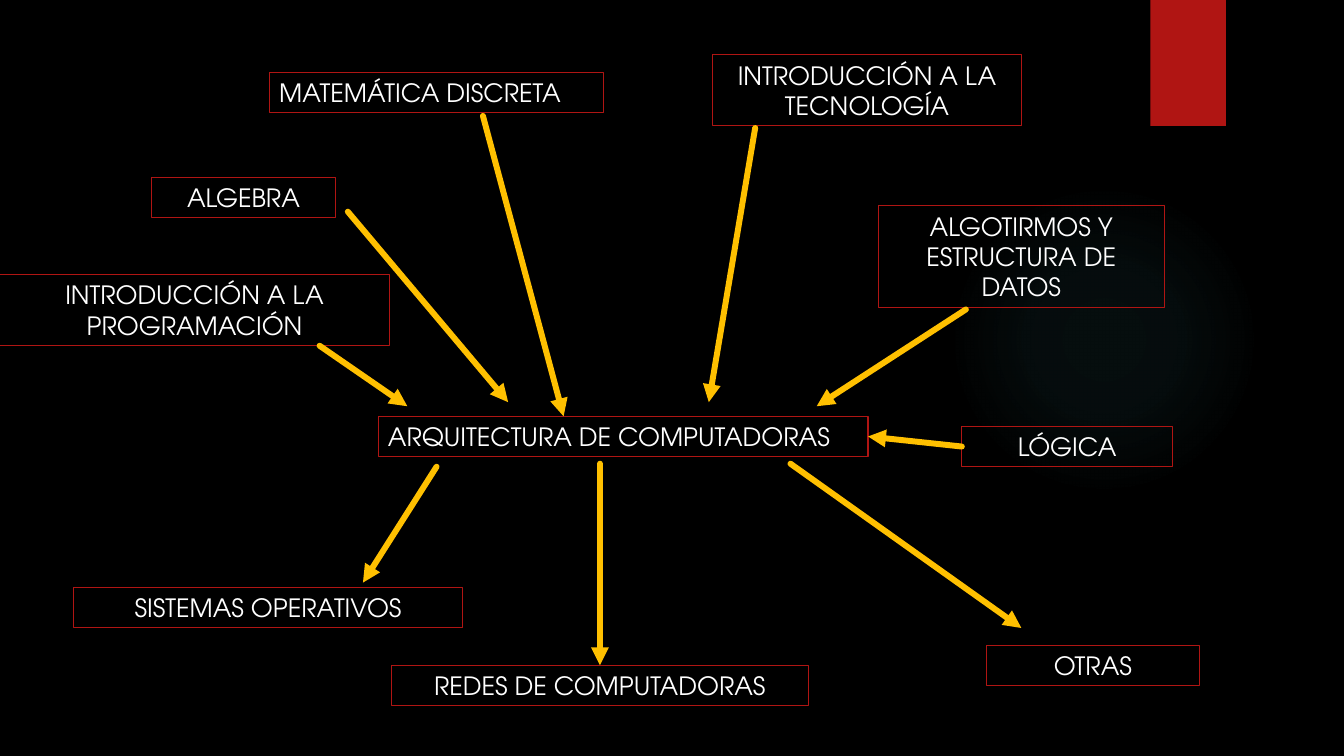
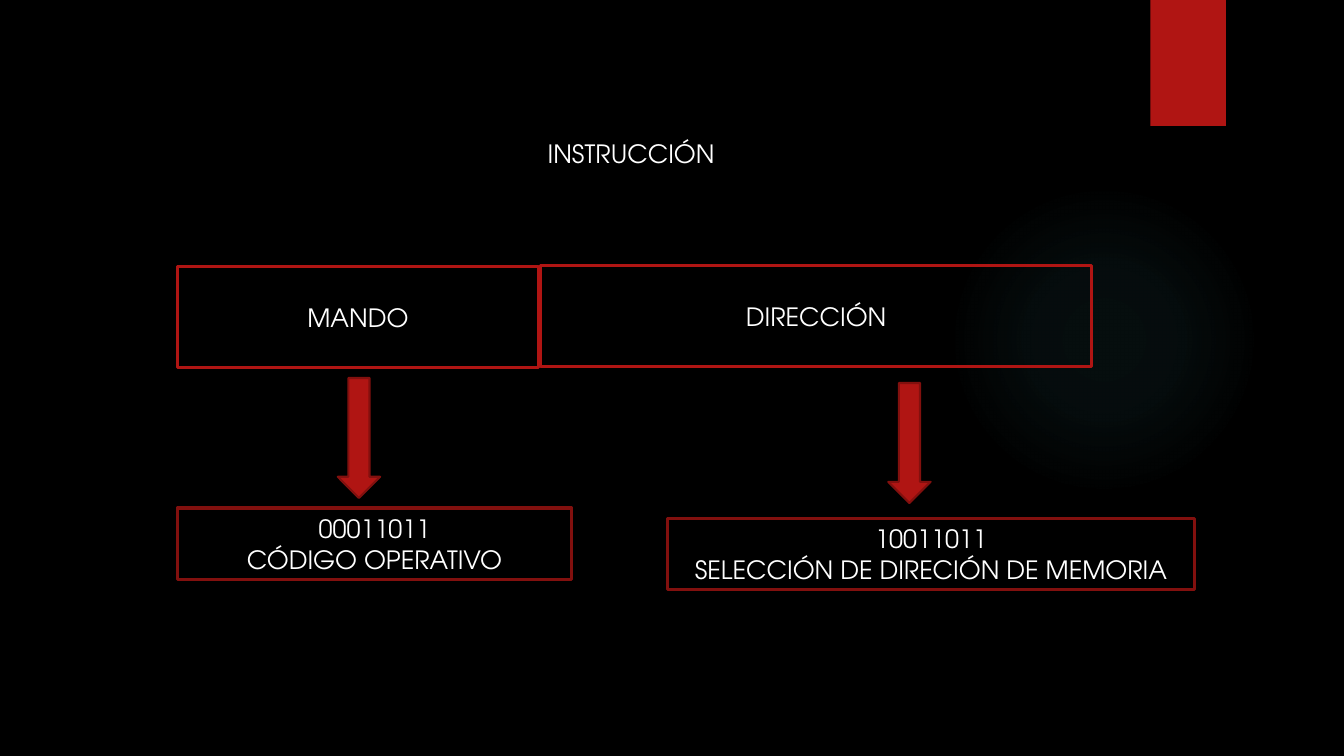
from collections import namedtuple

from lxml import etree
from pptx import Presentation
from pptx.dml.color import RGBColor
from pptx.enum.shapes import MSO_CONNECTOR, MSO_SHAPE
from pptx.enum.text import MSO_ANCHOR, MSO_AUTO_SIZE, PP_ALIGN
from pptx.oxml import parse_xml
from pptx.oxml.ns import nsdecls, qn
from pptx.util import Inches, Pt

RECTANGLE, ELLIPSE, DOWN_ARROW = MSO_SHAPE.RECTANGLE, MSO_SHAPE.OVAL, MSO_SHAPE.DOWN_ARROW
STRAIGHT = MSO_CONNECTOR.STRAIGHT
MIDDLE, NO_RESIZE = MSO_ANCHOR.MIDDLE, MSO_AUTO_SIZE.NONE
LEFT, CENTER = PP_ALIGN.LEFT, PP_ALIGN.CENTER
TOP_SIDE, LEFT_SIDE, RIGHT_SIDE = 0, 1, 3

COLORS = {
    "background": "000000",
    "text": "FFFFFF",
    "accent": "B01513",
    "dark_accent": "82100E",
    "arrow": "FFC000",
    "glow": "50B9C1",
}
FONT = "TeX Gyre Adventor"
TEXT_SIZE = 18
COLUMNS = 133.3
GLOW_STOPS = [(0, 7), (36, 6), (69, 0)]
TITLE_ONLY, BLANK = 5, 6

Area = namedtuple("Area", "left top width height")

HUB = ("ARQUITECTURA DE COMPUTADORAS", (37.5, 41.3, 48.6, 4), LEFT)
SUBJECTS = [
    ("ALGEBRA", (15, 17.6, 18.3, 4), CENTER),
    ("MATEMÁTICA DISCRETA", (26.7, 7.2, 33.2, 4), LEFT),
    ("INTRODUCCIÓN A LA TECNOLOGÍA", (70.7, 5.4, 30.6, 7.1), CENTER),
    ("ALGOTIRMOS Y ESTRUCTURA DE DATOS", (87.1, 20.4, 28.4, 10.1), CENTER),
    ("INTRODUCCIÓN A LA PROGRAMACIÓN", (0, 27.2, 38.6, 7.1), CENTER),
    ("LÓGICA", (95.4, 42.3, 20.9, 4), CENTER),
    ("SISTEMAS OPERATIVOS", (7.3, 58.3, 38.6, 4), CENTER),
    ("REDES DE COMPUTADORAS", (38.8, 66, 41.4, 4), CENTER),
    ("OTRAS", (97.8, 64, 21.2, 4), CENTER),
]
ARROWS = {
    "INTRODUCCIÓN A LA PROGRAMACIÓN": ((31.7, 34.3), (40.4, 40.3)),
    "ALGEBRA": ((34.5, 21), (50.4, 39.9)),
    "MATEMÁTICA DISCRETA": ((47.9, 11.5), (55.9, 41.3)),
    "INTRODUCCIÓN A LA TECNOLOGÍA": ((74.9, 12.7), (70.3, 39.9)),
    "ALGOTIRMOS Y ESTRUCTURA DE DATOS": ((95.8, 30.7), (81, 40.3)),
    "LÓGICA": ((95.4, 44.3), (86.1, 43.3)),
    "SISTEMAS OPERATIVOS": ((43.3, 46.3), (36, 57.8)),
    "REDES DE COMPUTADORAS": ((59.5, 46), (59.5, 66)),
    "OTRAS": ((78.4, 46), (101.3, 62.3)),
}
FIELDS = [
    ("MANDO", (17.6, 26.4, 35.8, 10.1), (33.5, 37.5),
     ["00011011", "CÓDIGO OPERATIVO"], (17.6, 50.4, 39.1, 7.1)),
    ("DIRECCIÓN", (53.6, 26.3, 54.7, 10.1), (88.1, 38),
     ["10011011", "SELECCIÓN DE DIRECIÓN DE MEMORIA"], (66.2, 51.4, 52.3, 7.1)),
]


def color(key):
    return RGBColor.from_string(COLORS[key])


def place(area, column, row):
    cell = area.width / COLUMNS
    return round(area.left + column * cell), round(area.top + row * cell)


def place_box(area, box):
    column, row, width, height = box
    cell = area.width / COLUMNS
    return (*place(area, column, row), round(width * cell), round(height * cell))


def write(frame, lines, align=CENTER):
    frame.word_wrap = True
    frame.auto_size = NO_RESIZE
    frame.vertical_anchor = MIDDLE
    for index, line in enumerate(lines):
        paragraph = frame.add_paragraph() if index else frame.paragraphs[0]
        paragraph.alignment = align
        run = paragraph.add_run()
        run.text = line
        run.font.name = FONT
        run.font.size = Pt(TEXT_SIZE)
        run.font.color.rgb = color("text")


def add_block(slide, area, box, preset=RECTANGLE, fill=None, line=None, weight=0.75):
    block = slide.shapes.add_shape(preset, *place_box(area, box))
    block.shadow.inherit = False
    if fill:
        block.fill.solid()
        block.fill.fore_color.rgb = color(fill)
    else:
        block.fill.background()
    if line:
        block.line.color.rgb = color(line)
        block.line.width = Pt(weight)
    else:
        block.line.fill.background()
    return block


def add_label(slide, area, box, lines, align=CENTER, line="accent", weight=0.75):
    label = add_block(slide, area, box, line=line, weight=weight)
    write(label.text_frame, lines, align)
    return label


def add_arrow(slide, area, start, end):
    arrow = slide.shapes.add_connector(STRAIGHT, *place(area, *start), *place(area, *end))
    arrow.line.color.rgb = color("arrow")
    arrow.line.width = Pt(4.25)
    properties = arrow.element.spPr
    stroke = properties.find(qn("a:ln"))
    stroke.set("cap", "rnd")
    etree.SubElement(stroke, qn("a:tailEnd"), type="triangle")
    etree.SubElement(properties, qn("a:effectLst"))
    return arrow


def apply_glow(shape):
    stops = "".join(
        f'<a:gs pos="{position * 1000}"><a:srgbClr val="{COLORS["glow"]}">'
        f'<a:alpha val="{opacity * 1000}"/></a:srgbClr></a:gs>'
        for position, opacity in GLOW_STOPS
    )
    gradient = parse_xml(
        f'<a:gradFill {nsdecls("a")} rotWithShape="1"><a:gsLst>{stops}</a:gsLst>'
        '<a:path path="circle"><a:fillToRect l="50000" t="50000" r="50000" b="50000"/>'
        "</a:path></a:gradFill>"
    )
    properties = shape.element.spPr
    properties.replace(properties.find(qn("a:noFill")), gradient)


def decorate_master(master, slide, area):
    master.background.fill.solid()
    master.background.fill.fore_color.rgb = color("background")
    glow = add_block(slide, area, (94.1, 18.3, 30.8, 30.8), ELLIPSE)
    apply_glow(glow)
    band = add_block(slide, area, (114.1, 0, 7.5, 12.5), fill="accent")
    for position, decoration in enumerate((glow, band), start=2):
        master.shapes.element.insert(position, decoration.element)


def subject_map(slide, area):
    hub_text, hub_box, hub_align = HUB
    hub = add_label(slide, area, hub_box, [hub_text], hub_align)
    subjects = {
        text: add_label(slide, area, box, [text], align) for text, box, align in SUBJECTS
    }
    arrows = {text: add_arrow(slide, area, *ends) for text, ends in ARROWS.items()}
    arrows["LÓGICA"].begin_connect(subjects["LÓGICA"], LEFT_SIDE)
    arrows["LÓGICA"].end_connect(hub, RIGHT_SIDE)
    arrows["REDES DE COMPUTADORAS"].end_connect(subjects["REDES DE COMPUTADORAS"], TOP_SIDE)


def instruction_format(slide, area):
    title = slide.shapes.title
    title.left, title.top, title.width, title.height = place_box(area, (33.5, 13.2, 58.2, 4))
    write(title.text_frame, ["INSTRUCCIÓN"])
    for name, field_box, arrow_start, meaning, meaning_box in FIELDS:
        add_label(slide, area, field_box, [name], weight=2)
        add_block(slide, area, (*arrow_start, 4.2, 11.9), DOWN_ARROW,
                  fill="accent", line="dark_accent", weight=1.5)
        add_label(slide, area, meaning_box, meaning, line="dark_accent", weight=2.25)


def main():
    deck = Presentation()
    deck.slide_width, deck.slide_height = Inches(13.33), Inches(7.5)
    area = Area(0, 0, deck.slide_width, deck.slide_height)
    map_slide = deck.slides.add_slide(deck.slide_layouts[BLANK])
    decorate_master(deck.slide_master, map_slide, area)
    subject_map(map_slide, area)
    instruction_format(deck.slides.add_slide(deck.slide_layouts[TITLE_ONLY]), area)
    deck.save("out.pptx")


if __name__ == "__main__":
    main()
